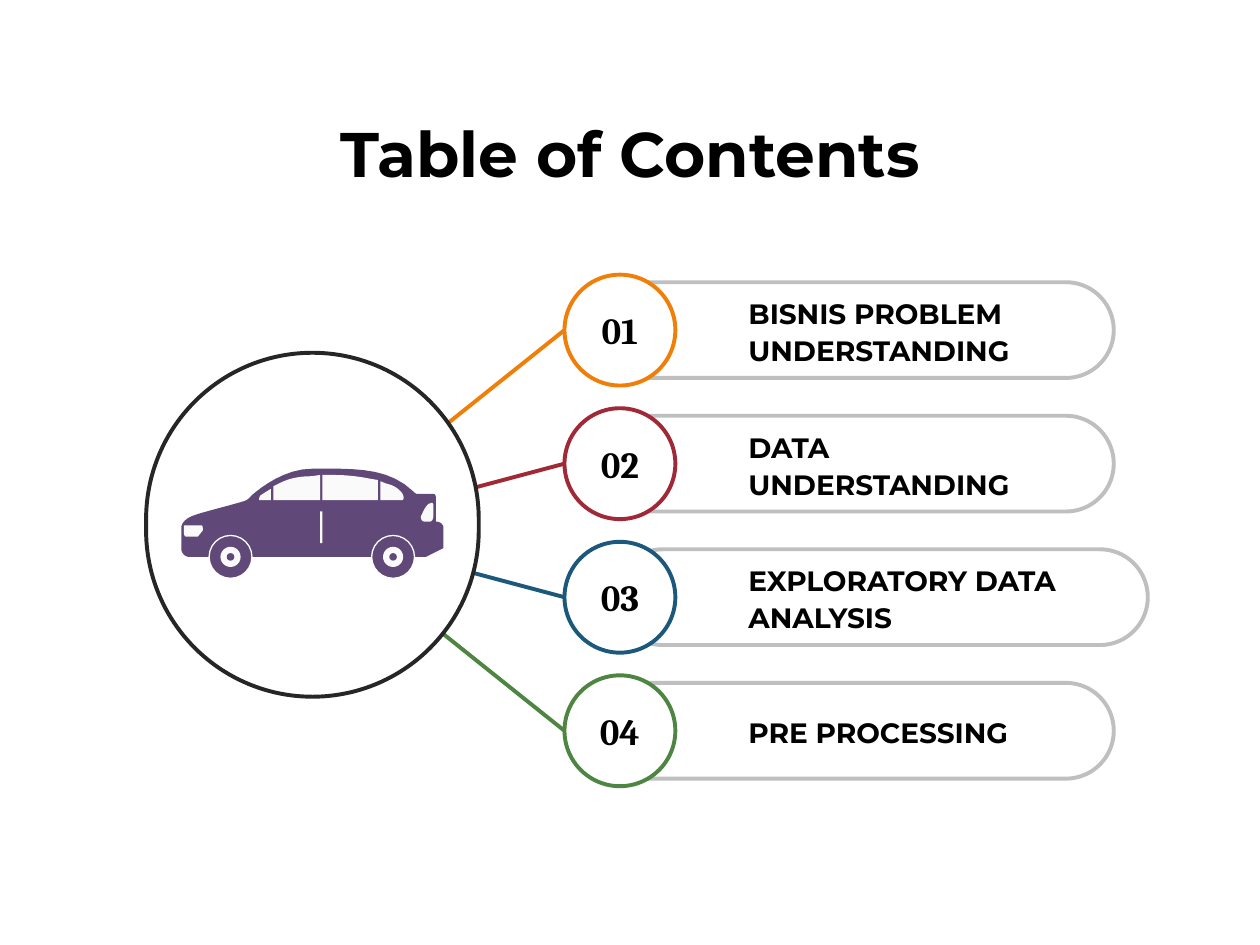
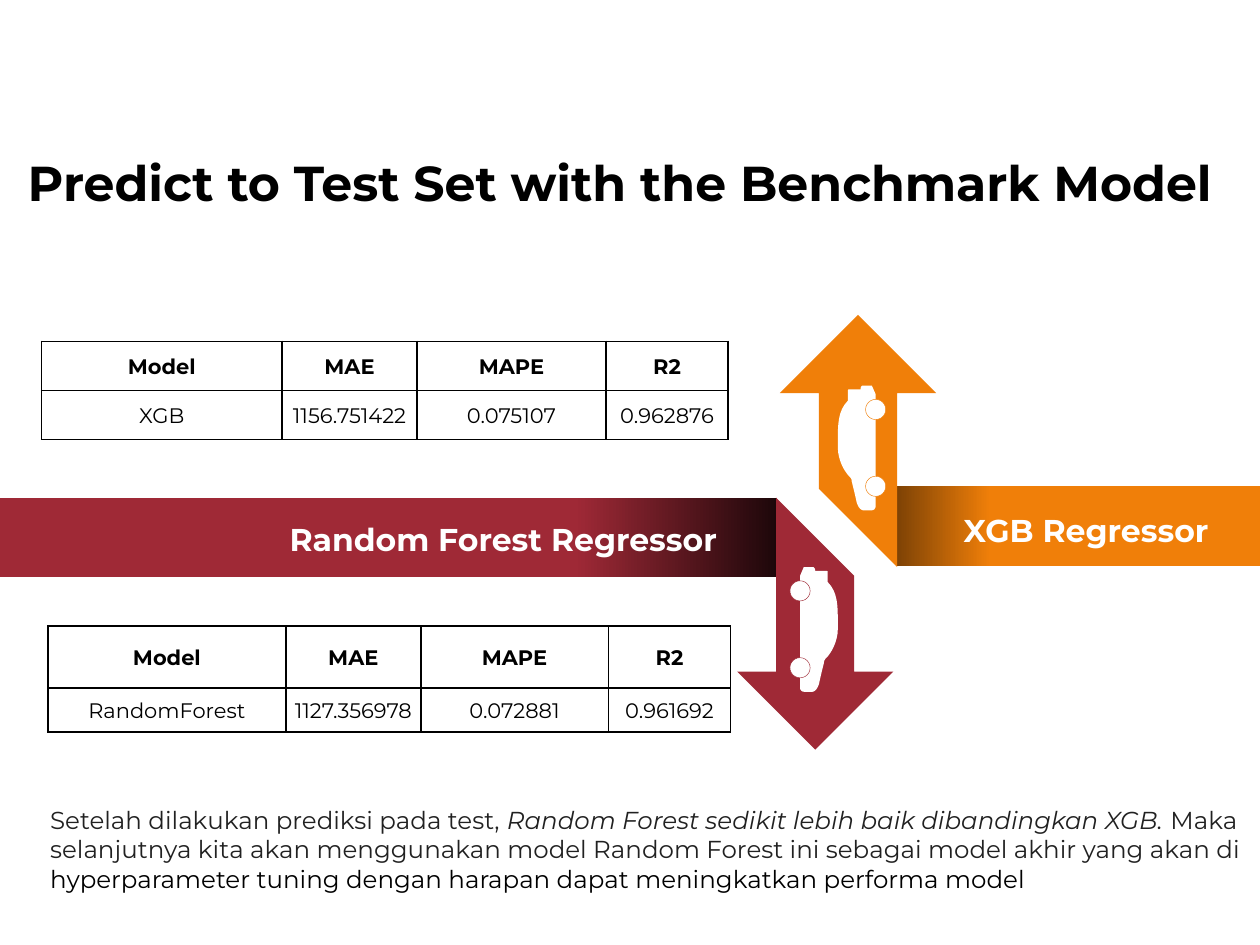
"""Build the contents slide and the benchmark comparison slide."""
from copy import deepcopy
from dataclasses import dataclass

from lxml import etree
from pptx import Presentation
from pptx import util as u
from pptx.dml.color import RGBColor
from pptx.enum import shapes, text
from pptx.oxml.ns import qn

COLORS = {
    "black": "000000", "white": "FFFFFF", "ink": "262626", "prose": "212121",
    "grey": "BFBFBF", "orange": "F07F09", "red": "9F2936", "blue": "1B587C",
    "green": "4E8542", "purple": "604878", "glass": "FAFAFA",
    "dark orange": "7D4205", "dark red": "1D070A",
}
FONT = "Montserrat"
OUTLINE = 2.25
ROW_PITCH = 1.06
HUB_CENTER = (2.49, 4.21)
SHAPE = shapes.MSO_SHAPE
ALIGN = text.PP_ALIGN
ANCHOR = text.MSO_ANCHOR

Step = tuple[float, ...]

CAR_BODY: list[list[Step]] = [[
    (2.6, 3.72), (2.88, 3.72, 3.1, 3.73, 3.28, 3.9), (3.29, 3.91, 3.3, 3.92, 3.31, 3.92),
    (3.44, 3.92), (3.45, 3.92, 3.46, 3.93, 3.46, 3.95), (3.46, 4.14),
    (3.49, 4.14, 3.52, 4.16, 3.52, 4.19), (3.52, 4.35), (3.38, 4.42), (1.5, 4.42),
    (1.47, 4.42, 1.44, 4.39, 1.44, 4.36), (1.44, 4.19),
    (1.44, 4.19, 1.43, 4.12, 1.57, 4.08), (1.67, 4.05, 1.83, 4.01, 1.93, 3.98),
    (1.97, 3.97, 1.98, 3.95, 2, 3.93), (2.07, 3.87, 2.26, 3.72, 2.48, 3.72),
]]
CAR_GLASS: list[list[Step]] = [
    [(1.46, 4.17), (1.6, 4.17), (1.61, 4.17, 1.61, 4.19, 1.61, 4.21), (1.57, 4.26),
     (1.48, 4.26), (1.47, 4.26, 1.46, 4.25, 1.46, 4.23)],
    [(2.54, 4.06), (2.56, 4.06), (2.56, 4.31), (2.54, 4.31)],
    [(3.43, 3.99), (3.44, 4, 3.44, 4, 3.44, 4.02), (3.44, 4.09),
     (3.44, 4.12, 3.43, 4.14, 3.41, 4.14), (3.37, 4.14),
     (3.35, 4.14, 3.34, 4.12, 3.34, 4.1), (3.36, 4.06, 3.37, 4.03, 3.4, 4)],
    [(2.15, 3.88), (2.15, 3.97), (2.06, 3.97), (2.05, 3.97, 2.06, 3.94, 2.07, 3.93)],
    [(3.02, 3.82), (3.07, 3.84), (3.12, 3.85, 3.15, 3.87, 3.18, 3.9),
     (3.21, 3.93, 3.21, 3.97, 3.19, 3.97), (3.02, 3.97)],
    [(2.54, 3.77), (2.54, 3.97), (2.17, 3.97), (2.17, 3.86), (2.23, 3.83),
     (2.29, 3.8, 2.37, 3.78, 2.47, 3.78)],
    [(2.65, 3.77), (2.74, 3.77, 2.84, 3.78, 2.94, 3.8), (3, 3.81), (3, 3.97),
     (2.56, 3.97), (2.56, 3.77)],
]
ARROW: list[Step] = [(6.47, 5.95), (5.85, 5.33), (6.16, 5.33), (6.16, 3.95),
                     (6.78, 4.57), (6.78, 5.33), (7.09, 5.33)]
SIDE_CAR: list[Step] = [
    (6.65, 4.94), (6.65, 4.81, 6.65, 4.7, 6.57, 4.62), (6.57, 4.54),
    (6.57, 4.53, 6.56, 4.53, 6.56, 4.53), (6.47, 4.53),
    (6.47, 4.51, 6.46, 4.5, 6.45, 4.5), (6.38, 4.5), (6.35, 4.57), (6.35, 5.46),
    (6.35, 5.47, 6.36, 5.49, 6.38, 5.49), (6.45, 5.49),
    (6.45, 5.49, 6.48, 5.49, 6.5, 5.43), (6.51, 5.38, 6.53, 5.3, 6.54, 5.26),
    (6.54, 5.24, 6.55, 5.23, 6.56, 5.22), (6.59, 5.19, 6.65, 5.1, 6.65, 4.99),
]


@dataclass
class Topic:
    """One numbered entry of the contents list."""
    label: str
    color: str
    label_width: float = 2.99
    pill_left: float = 4.61


@dataclass
class Span:
    """A stretch of text with its own colour or slant."""
    words: str
    color: str = "prose"
    italic: bool = False


@dataclass
class Scores:
    """The position and values of one model's score table."""
    left: float
    top: float
    columns: tuple[float, ...]
    rows: tuple[float, ...]
    values: tuple[str, ...]


@dataclass
class Bar:
    """A gradient bar with the name of a model."""
    box: tuple[float, ...]
    dark: str
    color: str
    angle: int
    label: str
    label_box: tuple[float, ...]


TOPICS = [
    Topic("BISNIS PROBLEM UNDERSTANDING", "orange"),
    Topic("DATA UNDERSTANDING", "red"),
    Topic("EXPLORATORY DATA ANALYSIS", "blue", 3.31, 4.88),
    Topic("PRE PROCESSING", "green", 3.4),
]
BARS = [
    Bar((0, 3.95, 6.17, 0.63), "dark red", "red", 180,
        "Random Forest Regressor", (2.2, 4.08, 4.02, 0.4)),
    Bar((7.11, 3.86, 2.89, 0.63), "dark orange", "orange", 0,
        "XGB Regressor", (7.55, 4.01, 2.54, 0.4)),
]
HEADINGS = ("Model", "MAE", "MAPE", "R2")
SCORES = [
    Scores(0.38, 4.97, (1.89, 1.07, 1.49, 0.97), (0.49, 0.35),
           ("RandomForest", "1127.356978", "0.072881", "0.961692")),
    Scores(0.33, 2.71, (1.91, 1.07, 1.5, 0.97), (0.39, 0.39),
           ("XGB", "1156.751422", "0.075107", "0.962876")),
]
CONCLUSION = [
    Span("Setelah dilakukan prediksi pada test, "),
    Span("Random Forest sedikit lebih baik dibandingkan XGB. ", italic=True),
    Span("Maka selanjutnya kita akan menggunakan model Random Forest ini sebagai "
         "model akhir yang akan di "),
    Span("hyperparameter tuning dengan harapan dapat meningkatkan performa model", "black"),
]


def rgb(name: str) -> RGBColor:
    """Return a palette colour."""
    return RGBColor.from_string(COLORS[name])


def inches(values: tuple[float, ...]) -> list[int]:
    """Turn numbers into lengths."""
    return [u.Inches(value) for value in values]


def style(para, size: float, color: str = "black", bold: bool = True,
          align=ALIGN.LEFT, font: str = FONT) -> None:
    """Set the font and alignment of a paragraph."""
    para.alignment = align
    para.font.name, para.font.size, para.font.bold = font, u.Pt(size), bold
    para.font.color.rgb = rgb(color)


def set_margins(holder, margins: tuple[float, ...]) -> None:
    """Set left, top, right and bottom margins of a frame or cell."""
    (holder.margin_left, holder.margin_top,
     holder.margin_right, holder.margin_bottom) = inches(margins)


def paint(shape, fill: str, line: str | None = None, width: float = OUTLINE) -> None:
    """Give a shape a flat fill and an optional outline."""
    shape.shadow.inherit = False
    shape.fill.solid()
    shape.fill.fore_color.rgb = rgb(fill)
    if line:
        shape.line.color.rgb = rgb(line)
        shape.line.width = u.Pt(width)
    else:
        shape.line.fill.background()


def add_title(page, words: str, box: tuple[float, ...], size: float, align) -> None:
    """Place and fill the title placeholder."""
    title = page.shapes.title
    title.left, title.top, title.width, title.height = inches(box)
    title.text_frame.text = words
    title.text_frame.vertical_anchor = ANCHOR.TOP
    style(title.text_frame.paragraphs[0], size, align=align)


def add_label(page, box: tuple[float, ...], words: str, size: float, color: str = "black"):
    """Add a bold wrapped text box and return its frame."""
    frame = page.shapes.add_textbox(*inches(box)).text_frame
    frame.word_wrap = True
    frame.text = words
    style(frame.paragraphs[0], size, color)
    return frame


def add_disc(page, center: tuple[float, float], radius: float, fill: str,
             line: str | None = None, width: float = OUTLINE):
    """Add a circle around a centre."""
    x, y = center
    disc = page.shapes.add_shape(
        SHAPE.OVAL, *inches((x - radius, y - radius, 2 * radius, 2 * radius)))
    paint(disc, fill, line, width)
    return disc


def flatten(steps: list[Step], pieces: int = 8) -> list[tuple[float, float]]:
    """Turn points and cubic curves into a polyline."""
    points = [steps[0]]
    for step in steps[1:]:
        if len(step) == 2:
            points.append(step)
            continue
        (x0, y0), (x1, y1, x2, y2, x3, y3) = points[-1], step
        for t in (piece / pieces for piece in range(1, pieces + 1)):
            a, b, c, d = (1 - t) ** 3, 3 * t * (1 - t) ** 2, 3 * t * t * (1 - t), t ** 3
            points.append((a * x0 + b * x1 + c * x2 + d * x3,
                           a * y0 + b * y1 + c * y2 + d * y3))
    return points


def add_outline(page, contours: list[list[Step]], fill: str) -> None:
    """Draw closed contours as one filled freeform."""
    lines = [[inches(point) for point in flatten(steps)] for steps in contours]
    builder = page.shapes.build_freeform(*lines[0][0])
    for number, points in enumerate(lines):
        if number:
            builder.move_to(*points[0])
        builder.add_line_segments(points[1:], close=True)
    paint(builder.convert_to_shape(), fill)


def add_topic(page, row: int, topic: Topic) -> None:
    """Draw the pill, label, spoke and badge of a topic."""
    shift = row * ROW_PITCH
    pill = page.shapes.add_shape(
        SHAPE.ROUNDED_RECTANGLE, *inches((topic.pill_left, 2.24 + shift, 4.23, 0.76)))
    pill.adjustments[0] = 0.5
    paint(pill, "white", "grey")
    frame = add_label(page, (5.49, 2.36 + shift, topic.label_width, 0.52), topic.label, 16)
    frame.vertical_anchor = ANCHOR.MIDDLE
    set_margins(frame, (0.45, 0.07, 0.15, 0.07))
    frame.paragraphs[0].line_spacing = 1.1
    spoke = page.shapes.add_connector(
        shapes.MSO_CONNECTOR.STRAIGHT, *inches((*HUB_CENTER, 4.48, 2.62 + shift)))
    spoke.line.color.rgb = rgb(topic.color)
    spoke.line.width = u.Pt(OUTLINE)
    etree.SubElement(spoke._element.spPr, qn("a:effectLst"))
    badge = add_disc(page, (4.92, 2.62 + shift), 0.44, "white", topic.color)
    badge.text_frame.text = f"{row + 1:02}"
    badge.text_frame.vertical_anchor = ANCHOR.MIDDLE
    set_margins(badge.text_frame, (0, 0.07, 0, 0.07))
    style(badge.text_frame.paragraphs[0], 21, align=ALIGN.CENTER, font="Cambria")


def add_bar(page, bar: Bar) -> None:
    """Draw a bar that fades from dark to its colour."""
    strip = page.shapes.add_shape(SHAPE.RECTANGLE, *inches(bar.box))
    paint(strip, bar.color)
    strip.fill.gradient()
    strip.fill.gradient_angle = bar.angle
    stop_list = strip._element.spPr.find(f".//{qn('a:gsLst')}")
    stop_list.append(deepcopy(stop_list[-1]))
    stops = zip(strip.fill.gradient_stops, (0, 0.26, 1), (bar.dark, bar.color, bar.color))
    for stop, position, color in stops:
        stop.position = position
        stop.color.rgb = rgb(color)


def add_border(cell) -> None:
    """Draw a thin black line on every side of a cell."""
    for side in ("a:lnL", "a:lnR", "a:lnT", "a:lnB"):
        line = etree.SubElement(cell._tc.get_or_add_tcPr(), qn(side), w=str(u.Pt(1)))
        fill = etree.SubElement(line, qn("a:solidFill"))
        etree.SubElement(fill, qn("a:srgbClr"), val=COLORS["black"])


def add_scores(page, scores: Scores) -> None:
    """Add a score table with a bold heading row."""
    box = (scores.left, scores.top, sum(scores.columns), sum(scores.rows))
    table = page.shapes.add_table(2, len(HEADINGS), *inches(box)).table
    for column, width in zip(table.columns, scores.columns):
        column.width = u.Inches(width)
    for row, height in zip(table.rows, scores.rows):
        row.height = u.Inches(height)
    for index, values in enumerate((HEADINGS, scores.values)):
        for cell, value in zip(table.rows[index].cells, values):
            cell.text = value
            cell.vertical_anchor = ANCHOR.MIDDLE
            set_margins(cell, (0.01, 0.01, 0.01, 0))
            style(cell.text_frame.paragraphs[0], 12, bold=index == 0, align=ALIGN.CENTER)
            add_border(cell)
            cell.fill.solid()
            cell.fill.fore_color.rgb = rgb("white")


def build_contents(page) -> None:
    """Build the table of contents around the car."""
    add_title(page, "Table of Contents", (0, 0.86, 10, 0.71), 36, ALIGN.CENTER)
    for row, topic in enumerate(TOPICS):
        add_topic(page, row, topic)
    hub = page.shapes.add_shape(SHAPE.ROUNDED_RECTANGLE, *inches((1.16, 2.8, 2.64, 2.73)))
    hub.adjustments[0] = 0.5
    paint(hub, "white", "ink")
    add_outline(page, CAR_BODY, "purple")
    add_outline(page, CAR_GLASS, "glass")
    for x in (1.83, 3.12):
        add_disc(page, (x, 4.42), 0.17, "purple", "white", 0.75)
        add_disc(page, (x, 4.42), 0.08, "glass")
        add_disc(page, (x, 4.42), 0.03, "purple")


def build_benchmark(page) -> None:
    """Build the comparison of the two models."""
    add_title(page, "Predict to Test Set with the Benchmark Model",
              (0.12, 1.16, 9.76, 0.57), 28, ALIGN.LEFT)
    for bar in BARS:
        add_bar(page, bar)
        add_label(page, bar.label_box, bar.label, 18, "white")
    add_outline(page, [ARROW], "red")
    add_outline(page, [[(13.28 - x, 8.45 - y) for x, y in ARROW]], "orange")
    for color, mirror, offset, rise in (("red", 1, 0, 0), ("orange", -1, 13.3, 1.44)):
        car = [tuple(offset + mirror * value if place % 2 == 0 else value - rise
                     for place, value in enumerate(step)) for step in SIDE_CAR]
        add_outline(page, [car], "white")
        for y in (4.69, 5.3):
            add_disc(page, (offset + mirror * 6.35, y - rise), 0.08, "white", color, 0.25)
    for scores in SCORES:
        add_scores(page, scores)
    frame = add_label(page, (0.3, 6.34, 9.7, 0.81), "", 14)
    para = frame.paragraphs[0]
    style(para, 14, "prose", bold=False)
    for span in CONCLUSION:
        run = para.add_run()
        run.text = span.words
        run.font.italic = span.italic
        run.font.color.rgb = rgb(span.color)


def main() -> None:
    """Create both slides and save the deck."""
    deck = Presentation()
    deck.slide_width, deck.slide_height = u.Inches(10), u.Inches(7.5)
    title_only = deck.slide_layouts[5]
    for build in (build_contents, build_benchmark):
        build(deck.slides.add_slide(title_only))
    deck.save("out.pptx")


if __name__ == "__main__":
    main()
